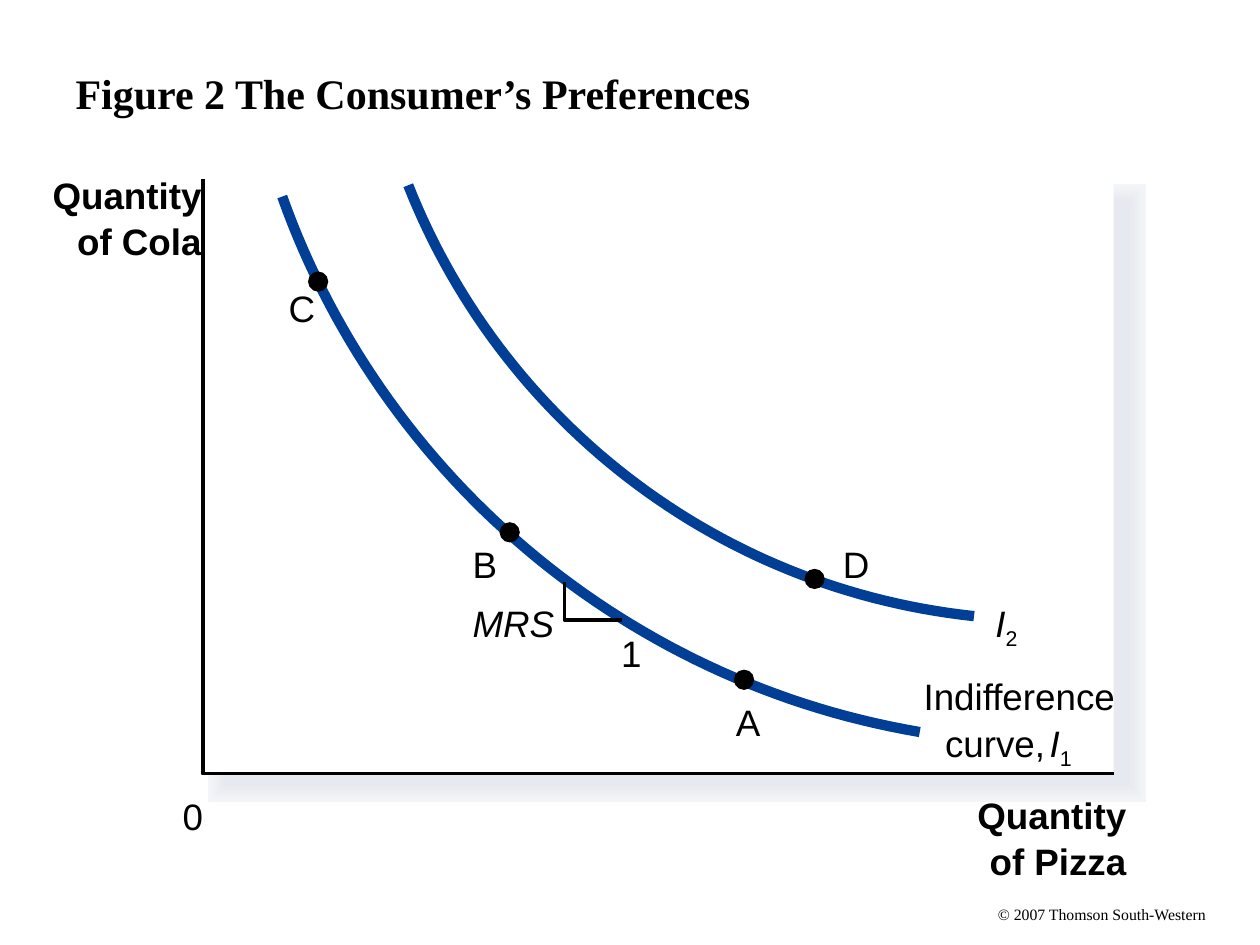
from lxml.etree import SubElement
from pptx import Presentation
from pptx.dml.color import RGBColor
from pptx.enum.shapes import MSO_SHAPE as Shape
from pptx.enum.text import MSO_ANCHOR as Anchor, PP_ALIGN as Align
from pptx.oxml.ns import qn
from pptx.util import Inches, Pt

BLACK, WHITE, CURVE_BLUE = "000000", "FFFFFF", "003F95"
SHADOW_COLORS = ["F3F6F9", "F2F4F8", "F1F4F7", "F0F2F5", "EEF1F4", "EDEFF3",
                 "EBEEF2", "EAECF1", "E9EBF0", "E7EAEF", "E6E9EF"]
PLOT_LEFT, PLOT_TOP, PLOT_WIDTH, PLOT_HEIGHT = 1.61, 1.42, 7.23, 4.72
DOT_SIZE = 0.15


def color(value):
    """Turn a hex string into a colour."""
    return RGBColor.from_string(value)


def add_text(slide, text, left, top, width, height=0.35, size=21, font="Arial",
             bold=False, italic=False, subscript="", align=Align.LEFT,
             anchor=Anchor.TOP, wrap=False):
    """Add one line of text, with an optional upright subscript."""
    box = slide.shapes.add_textbox(Inches(left), Inches(top), Inches(width), Inches(height))
    frame = box.text_frame
    frame.margin_left = frame.margin_right = frame.margin_top = frame.margin_bottom = 0
    frame.word_wrap = wrap
    frame.vertical_anchor = anchor
    paragraph = frame.paragraphs[0]
    paragraph.alignment = align
    paragraph.font.name = font
    paragraph.font.size = Pt(size)
    paragraph.font.bold = bold
    paragraph.font.color.rgb = color(BLACK)
    run = paragraph.add_run()
    run.text = text
    run.font.italic = italic
    runs = [run]
    if subscript:
        lowered = paragraph.add_run()
        lowered.text = subscript
        lowered.font._element.set("baseline", "-25000")
        runs.append(lowered)
    for run in runs:
        run.font.name = font
        run.font.size = Pt(size)
        run.font.bold = bold
        run.font.color.rgb = color(BLACK)


def add_filled(slide, preset, left, top, width, height, fill, line_width=0):
    """Add a preset shape whose outline, if any, has the fill colour."""
    shape = slide.shapes.add_shape(preset, Inches(left), Inches(top),
                                   Inches(width), Inches(height))
    shape.shadow.inherit = False
    shape.fill.solid()
    shape.fill.fore_color.rgb = color(fill)
    if line_width:
        shape.line.color.rgb = color(fill)
        shape.line.width = Pt(line_width)
        SubElement(shape.line._get_or_add_ln(), qn("a:miter"), lim="800000")
    else:
        shape.line.fill.background()


def add_path(slide, points, line_color, line_width):
    """Add an open, unfilled outline through the points."""
    start, *rest = [(Inches(x), Inches(y)) for x, y in points]
    builder = slide.shapes.build_freeform(*start)
    builder.add_line_segments(rest, close=False)
    shape = builder.convert_to_shape()
    shape.shadow.inherit = False
    shape.fill.background()
    shape.line.color.rgb = color(line_color)
    shape.line.width = Pt(line_width)


def add_curve(slide, start, first, second, end, steps=60):
    """Add an indifference curve from the four points of a cubic Bezier."""
    points = []
    for step in range(steps + 1):
        t = step / steps
        weights = ((1 - t) ** 3, 3 * t * (1 - t) ** 2, 3 * t ** 2 * (1 - t), t ** 3)
        points.append([sum(weight * value for weight, value in zip(weights, values))
                       for values in zip(start, first, second, end)])
    add_path(slide, points, CURVE_BLUE, 5.87)


def add_plot_area(slide):
    """Add the soft shadow, the white plot area and the axes."""
    for index, shade in enumerate(SHADOW_COLORS):
        add_filled(slide, Shape.RECTANGLE, 1.8, 1.61, 7.15, 4.61, shade, 21.5 - 1.95 * index)
    add_filled(slide, Shape.RECTANGLE, PLOT_LEFT, PLOT_TOP, PLOT_WIDTH, PLOT_HEIGHT, WHITE)
    bottom = PLOT_TOP + PLOT_HEIGHT
    add_path(slide, [(PLOT_LEFT, PLOT_TOP), (PLOT_LEFT, bottom),
                     (PLOT_LEFT + PLOT_WIDTH, bottom)], BLACK, 2)


def add_axis_title(slide, lines, right, top):
    """Add the stacked lines of an axis title, flush right."""
    width = 1.3
    for index, line in enumerate(lines):
        add_text(slide, line, right - width, top + 0.365 * index, width,
                 bold=True, align=Align.RIGHT, wrap=True)


def add_point(slide, name, dot_left, dot_top, label_left, label_top):
    """Add a marked point on a curve and its letter."""
    add_text(slide, name, label_left, label_top, 0.21)
    add_filled(slide, Shape.OVAL, dot_left, dot_top, DOT_SIZE, DOT_SIZE, BLACK, 0.75)


def main():
    """Build the slide and save it."""
    presentation = Presentation()
    presentation.slide_width, presentation.slide_height = Inches(10), Inches(7.5)
    slide = presentation.slides.add_slide(presentation.slide_layouts[6])

    add_text(slide, "© 2007 Thomson South-Western", 7.92, 7.18, 1.66, 0.15,
             size=9, font="Times New Roman")
    add_text(slide, "Figure 2 The Consumer’s Preferences", 0.6, 0.11, 8.8, 1.25, size=24,
             font="Times New Roman", bold=True, anchor=Anchor.MIDDLE, wrap=True)

    add_plot_area(slide)
    add_axis_title(slide, ["Quantity", "of Pizza"], 8.94, 6.29)
    add_axis_title(slide, ["Quantity", "of Cola"], 1.6, 1.37)
    add_text(slide, "0", 1.45, 6.3, 0.16)

    add_curve(slide, (7.3, 5.81), (4.94, 5.41), (3.02, 3.75), (2.24, 1.56))
    add_text(slide, "Indifference", 7.33, 5.35, 1.52)
    add_text(slide, "curve,", 7.5, 5.72, 0.88)
    add_text(slide, "I", 8.33, 5.72, 0.18, 0.4, italic=True, subscript="1")
    add_curve(slide, (7.73, 4.89), (5.67, 4.67), (3.97, 3.32), (3.24, 1.47))
    add_text(slide, "I", 7.9, 4.77, 0.18, 0.4, italic=True, subscript="2")

    add_path(slide, [(4.48, 4.62), (4.48, 4.92), (4.94, 4.92)], BLACK, 2)
    add_text(slide, "1", 4.93, 5.01, 0.16)
    add_text(slide, "MRS", 3.75, 4.77, 0.65, italic=True)

    for point in [("C", 2.45, 2.16, 2.29, 2.27), ("B", 3.97, 4.15, 3.75, 4.3),
                  ("A", 5.83, 5.32, 5.84, 5.55), ("D", 6.39, 4.52, 6.69, 4.3)]:
        add_point(slide, *point)

    presentation.save("out.pptx")


if __name__ == "__main__":
    main()
